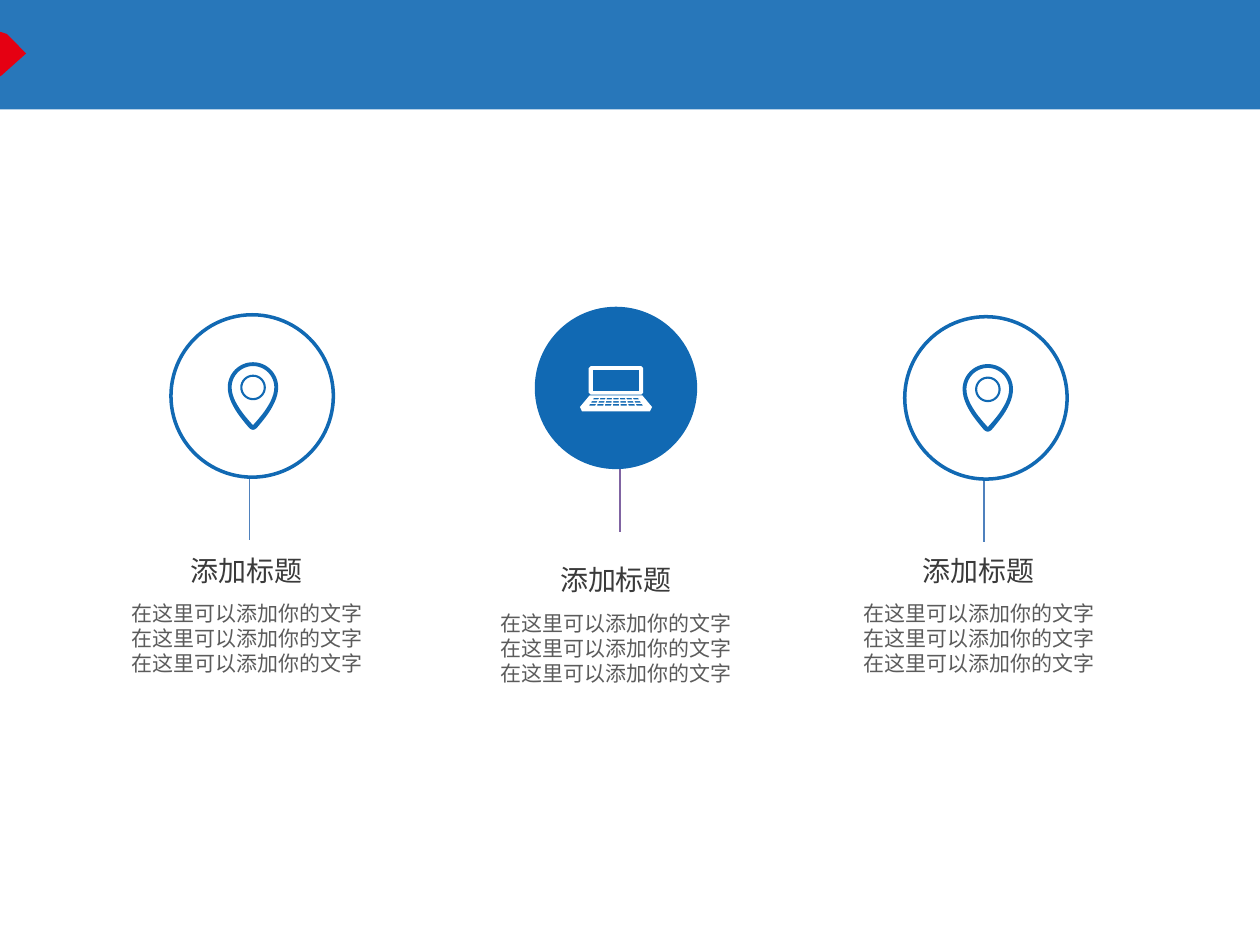
from math import cos, pi, sin

from lxml.etree import SubElement
from pptx import Presentation
from pptx.dml.color import RGBColor
from pptx.enum.shapes import MSO_CONNECTOR, MSO_SHAPE
from pptx.enum.text import PP_ALIGN
from pptx.oxml.ns import qn
from pptx.util import Pt

BLUE = RGBColor(0x11, 0x69, 0xB3)
LINE_BLUE = RGBColor(0x4F, 0x81, 0xBD)
PURPLE = RGBColor(0x80, 0x64, 0xA2)
RED = RGBColor(0xE5, 0x00, 0x12)
WHITE = RGBColor(0xFF, 0xFF, 0xFF)
DARK = RGBColor(0x3A, 0x3A, 0x3A)
GREY = RGBColor(0x5B, 0x5B, 0x5B)


class Deck:
    """Holds the text style and the slide being drawn."""

    font = "Noto Sans CJK SC"

    def __init__(self, slide):
        self.s = slide

    def shape(self, kind, x, y, w, h, fill, line=None, alpha=None):
        sp = self.s.shapes.add_shape(kind, Pt(x), Pt(y), Pt(w), Pt(h))
        self.paint(sp, fill, line)
        if alpha:
            color = sp._element.spPr.find(qn("a:solidFill"))[0]
            SubElement(color, qn("a:alpha")).set("val", str(alpha * 1000))
        return sp

    def paint(self, sp, fill, line=None):
        sp.shadow.inherit = False
        sp.fill.solid()
        sp.fill.fore_color.rgb = fill
        if line:
            sp.line.color.rgb = line
            sp.line.width = Pt(2)
        else:
            sp.line.fill.background()

    def freeform(self, contours, fill, x=0, y=0):
        """Fill closed contours given in points; inner ones become holes."""
        builder = None
        for contour in contours:
            points = [(Pt(x + px), Pt(y + py)) for px, py in contour]
            if builder is None:
                builder = self.s.shapes.build_freeform(*points[0])
            else:
                builder.move_to(*points[0])
            builder.add_line_segments(points[1:], close=True)
        self.paint(builder.convert_to_shape(), fill)

    def line(self, x, y1, y2, color):
        c = self.s.shapes.add_connector(MSO_CONNECTOR.STRAIGHT, Pt(x), Pt(y1), Pt(x), Pt(y2))
        c.line.color.rgb = color
        c.line.width = Pt(1)
        SubElement(c._element.spPr, qn("a:effectLst"))

    def text(self, lines, x, y, w, h, size, spacing, color):
        tf = self.s.shapes.add_textbox(Pt(x), Pt(y), Pt(w), Pt(h)).text_frame
        tf.word_wrap = True
        tf.text = "\n".join(lines)
        for p in tf.paragraphs:
            p.alignment = PP_ALIGN.CENTER
            p.line_spacing = Pt(spacing)
            for r in p.runs:
                r.font.size = Pt(size)
                r.font.name = self.font
                r.font.color.rgb = color
                SubElement(r._r.rPr, qn("a:ea")).set("typeface", self.font)


def arc(radius, start, end, steps=32):
    angles = [start + (end - start) * i / steps for i in range(steps + 1)]
    return [(radius * cos(a), radius * sin(a)) for a in angles]


def bezier(a, b, c, d, steps=12):
    def at(t, axis):
        u = 1 - t
        return (u**3 * a[axis] + 3 * u * u * t * b[axis]
                + 3 * u * t * t * c[axis] + t**3 * d[axis])
    return [(at(i / steps, 0), at(i / steps, 1)) for i in range(steps + 1)]


def drop(radius, side):
    """A half circle on top, closed by a curved side and its mirror."""
    mirrored = [(-px, py) for px, py in reversed(side)]
    return arc(radius, pi, 2 * pi) + mirrored[::-1] + side[::-1]


def pin(deck, x, y):
    ring = [arc(r, 0, 2 * pi)[:-1] for r in (7.3, 6.1)]
    outer = (bezier((-14.4, 0), (-14.4, 8.6), (-7.2, 17.3), (-2.3, 23))
             + bezier((-2.3, 23), (-2.3, 23), (-1.2, 24.2), (0, 24.2)))
    inner = bezier((-12.2, 0), (-12.2, 7.9), (-4.5, 16.6), (0, 21.6))
    deck.freeform(ring, BLUE, x, y)
    deck.freeform([drop(14.4, outer), drop(12.2, inner)], BLUE, x, y)


def box(x1, y1, x2, y2, cut=0):
    return [(x1 + cut, y1), (x2 - cut, y1), (x2, y1 + cut), (x2, y2 - cut),
            (x2 - cut, y2), (x1 + cut, y2), (x1, y2 - cut), (x1, y1 + cut)]


def laptop(deck, x, y):
    """Draw around the middle of the lid's top edge."""
    lid = box(-15.6, 0, 15.6, 16.4, 1.2)
    screen = box(-13.2, 2.2, 13.2, 14.4)
    base = [(-15, 16.7), (15, 16.7), (20.6, 23.4), (19.4, 25.9), (-19.4, 25.9), (-20.6, 23.4)]
    keys = []
    for top, width in ((18.2, 26), (20, 28.3), (21.7, 30.6)):
        for i in range(7):
            left, right = ((i + k) / 7 - 0.5 for k in (0.1, 0.9))
            low = width + 1.2
            keys.append([(left * width, top), (right * width, top),
                         (right * low, top + 0.9), (left * low, top + 0.9)])
    deck.freeform([lid, screen, base, *keys], WHITE, x, y)


def main():
    prs = Presentation()
    prs.slide_width, prs.slide_height = Pt(720), Pt(540)
    deck = Deck(prs.slides.add_slide(prs.slide_layouts[6]))

    # Header band with red marker
    deck.shape(MSO_SHAPE.RECTANGLE, -1.5, 0, 723.5, 62.6, BLUE, alpha=90)
    deck.freeform([[(-1.5, 17.7), (4, 19.5), (14.9, 30.6), (0.5, 43.5), (-1.5, 43.5)]], RED)

    # Columns: circle centre x and y, stem x, text centre x, heading top, colours, icon
    size = 92.8
    columns = (
        (144.1, 226.3, 142.6, 141, 311.8, LINE_BLUE, WHITE, BLUE, pin, (144.6, 221.4)),
        (563.4, 227.4, 562.1, 559.3, 311.8, LINE_BLUE, WHITE, BLUE, pin, (564.5, 222.5)),
        (352, 221.7, 354.4, 352, 317.2, PURPLE, BLUE, None, laptop, (352, 209.2)),
    )
    for cx, cy, stem, tx, top, color, fill, outline, icon, place in columns:
        deck.line(stem, cy + 8, cy + 82.5, color)
        deck.shape(MSO_SHAPE.OVAL, cx - size / 2, cy - size / 2, size, size, fill, outline)
        icon(deck, *place)
        deck.text(["添加标题"], tx - 143, top, 286, 28, 16, 20, DARK)
        deck.text(["在这里可以添加你的文字"] * 3, tx - 95, top + 28, 190, 67, 12, 14.3, GREY)

    prs.save("out.pptx")


if __name__ == "__main__":
    main()
